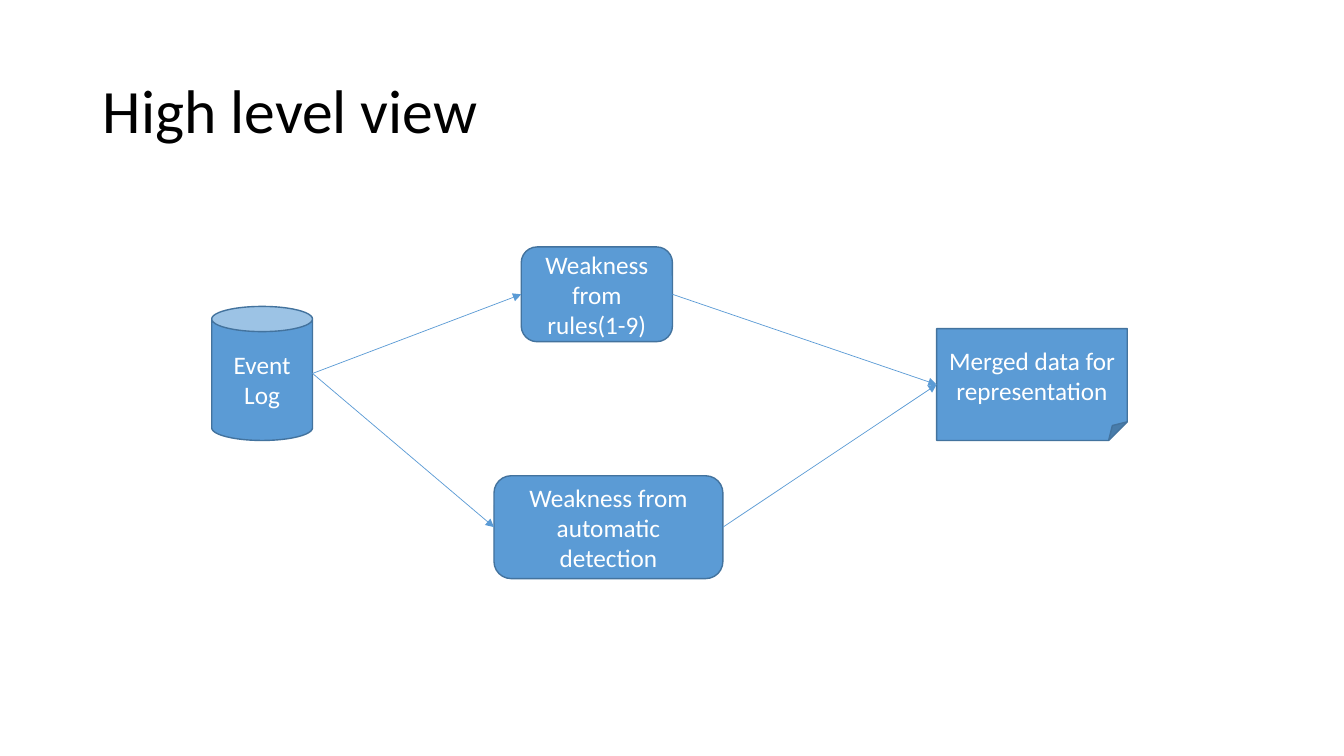
from lxml import etree
from pptx import Presentation
from pptx.dml.color import RGBColor
from pptx.enum.shapes import MSO_CONNECTOR, MSO_SHAPE
from pptx.enum.text import MSO_ANCHOR, PP_ALIGN
from pptx.oxml.ns import qn
from pptx.util import Inches, Pt

CAN, ROUND, FOLD = MSO_SHAPE.CAN, MSO_SHAPE.ROUNDED_RECTANGLE, MSO_SHAPE.FOLDED_CORNER
LINE = MSO_CONNECTOR.STRAIGHT
MID, LEFT, CENTER = MSO_ANCHOR.MIDDLE, PP_ALIGN.LEFT, PP_ALIGN.CENTER

# Content: boxes as shape, text, (left, top, width, height) in inches
TITLE = "High level view"
NODES = {
    "log": (CAN, "Event Log", (2.1, 3.04, 1, 1.33)),
    "rules": (ROUND, "Weakness from rules(1-9)", (5.17, 2.45, 1.5, 0.94)),
    "auto": (ROUND, "Weakness from automatic detection", (4.9, 4.72, 2.27, 1.02)),
    "merge": (FOLD, "Merged data for representation", (9.29, 3.26, 1.89, 1.11)),
}
FLOWS = [("log", "rules"), ("log", "auto"), ("rules", "merge"), ("auto", "merge")]

THEME = {
    "font": "Calibri", "title": 44, "body": 18, "edge": 1, "flow": 0.5,
    "ink": RGBColor(0, 0, 0), "white": RGBColor(255, 255, 255),
    "blue": RGBColor(0x5B, 0x9B, 0xD5), "dark": RGBColor(0x43, 0x73, 0x9E),
}


def write(shape, text, size, color, align):
    frame = shape.text_frame
    frame.word_wrap = True
    frame.vertical_anchor = MID
    para = frame.paragraphs[0]
    para.alignment = align
    run = para.add_run()
    run.text = text
    run.font.name = THEME["font"]
    run.font.size = Pt(THEME[size])
    run.font.color.rgb = THEME[color]
    return para


def add_node(kind, text, box):
    shape = slide.shapes.add_shape(kind, *map(Inches, box))
    shape.shadow.inherit = False
    shape.fill.solid()
    shape.fill.fore_color.rgb = THEME["blue"]
    shape.line.color.rgb = THEME["dark"]
    shape.line.width = Pt(THEME["edge"])
    write(shape, text, "body", "white", CENTER)
    return shape


def add_flow(start, end):
    # Run from the middle of the right side to the middle of the left side
    flow = slide.shapes.add_connector(
        LINE, start.left + start.width, start.top + start.height // 2,
        end.left, end.top + end.height // 2)
    flow.line.color.rgb = THEME["blue"]
    flow.line.width = Pt(THEME["flow"])
    etree.SubElement(flow.line._get_or_add_ln(), qn("a:tailEnd"), type="triangle")
    etree.SubElement(flow._element.spPr, qn("a:effectLst"))


deck = Presentation()
deck.slide_width, deck.slide_height = Inches(13.33), Inches(7.5)
slide = deck.slides.add_slide(deck.slide_layouts[5])

# Title
title = slide.shapes.title
title.left, title.top, title.width, title.height = map(Inches, (0.92, 0.4, 11.5, 1.45))
write(title, TITLE, "title", "ink", LEFT).line_spacing = 0.9

# Diagram
nodes = {name: add_node(*node) for name, node in NODES.items()}
for start, end in FLOWS:
    add_flow(nodes[start], nodes[end])

deck.save("out.pptx")
